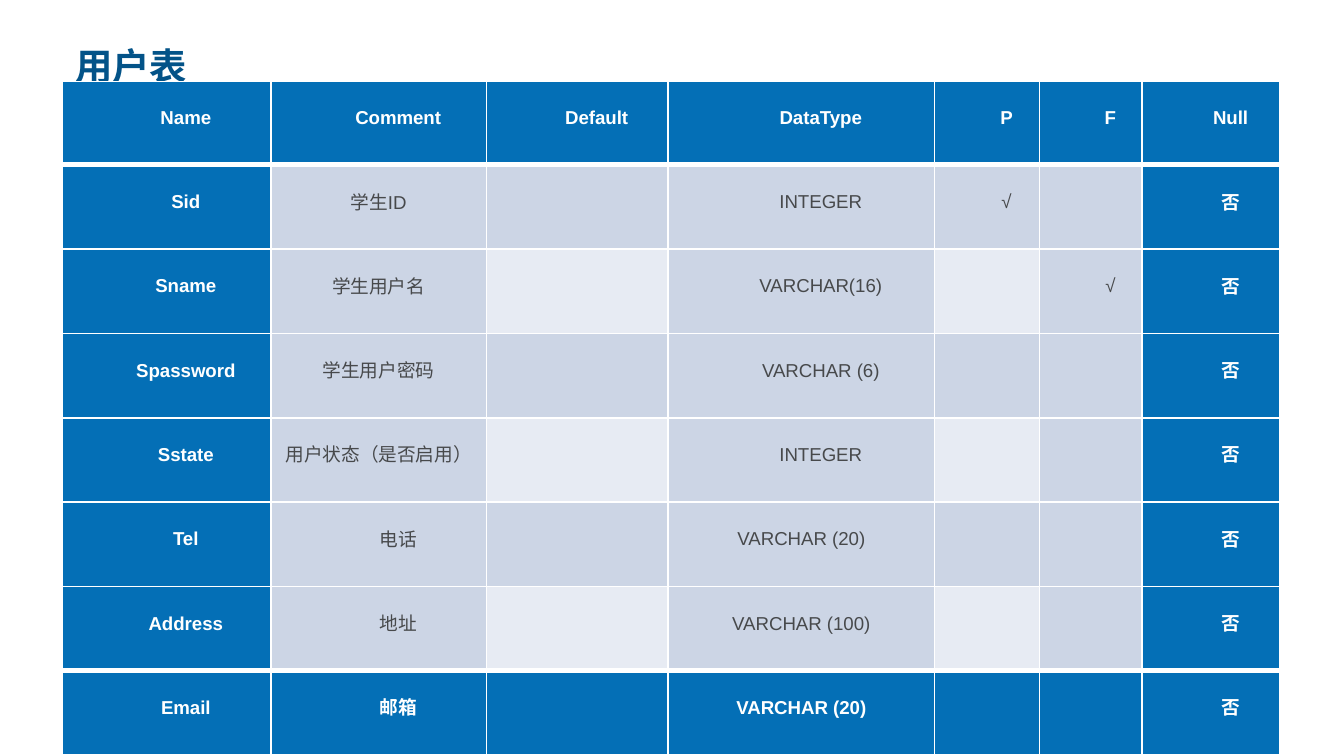
from dataclasses import dataclass

from lxml import etree
from pptx import Presentation
from pptx import util as u
from pptx.dml.color import RGBColor
from pptx.enum import text
from pptx.oxml.ns import qn

PX = 2286  # EMU per px, 400 px to the inch


@dataclass(frozen=True)
class Theme:
    title: str = "035388"
    head: str = "046FB6"
    band: str = "CCD5E5"
    light: str = "E7EBF3"
    ink: str = "47494B"
    white: str = "FFFFFF"
    title_font: str = "Montserrat"
    body_font: str = "Arial"
    title_pt: int = 20
    body_pt: int = 10
    thin_pt: int = 1
    thick_pt: int = 3


@dataclass(frozen=True)
class Field:
    name: str
    comment: str
    datatype: str
    primary: str = ""
    foreign: str = ""
    flush: str = "comment"  # the column without first-line indent

    def values(self) -> list[str]:
        return [self.name, self.comment, "", self.datatype,
                self.primary, self.foreign, "否"]


T = Theme()
HEADERS = ["Name", "Comment", "Default", "DataType", "P", "F", "Null"]
FLUSH_COLUMN = {"comment": 1, "datatype": 3}
FIELDS = [
    Field("Sid", "学生ID", "INTEGER", primary="√"),
    Field("Sname", "学生用户名", "VARCHAR(16)", foreign="√"),
    Field("Spassword", "学生用户密码", "VARCHAR (6)"),
    Field("Sstate", "用户状态（是否启用）", "INTEGER"),
    Field("Tel", "电话", "VARCHAR (20)", flush="datatype"),
    Field("Address", "地址", "VARCHAR (100)", flush="datatype"),
    Field("Email", "邮箱", "VARCHAR (20)", flush="datatype"),
]
SLIDE_WIDTH, SLIDE_HEIGHT = 4000, 2250
LEFT, TITLE_TOP, TABLE_TOP = 184, 54, 243
TITLE_HEIGHT = 228
COLUMNS = [622, 642, 540, 794, 312, 306, 410]
HEAD_HEIGHT, ROW_HEIGHT = 248, 251
INDENT, CELL_MARGIN = 116, 28
LAST = len(FIELDS)


def px(n: int) -> u.Emu:
    return u.Emu(n * PX)


def set_font(p, name: str, size: int, color: str, bold: bool) -> None:
    p.font.name = name
    p.font.size = u.Pt(size)
    p.font.bold = bold
    p.font.color.rgb = RGBColor.from_string(color)


def set_borders(cell, top: int, bottom: int) -> None:
    tc_pr = cell._tc.get_or_add_tcPr()
    widths = {"lnL": T.thin_pt, "lnR": T.thin_pt, "lnT": top, "lnB": bottom}
    for tag, width in widths.items():
        ln = etree.SubElement(tc_pr, qn(f"a:{tag}"), w=str(u.Pt(width)))
        fill = etree.SubElement(ln, qn("a:solidFill"))
        etree.SubElement(fill, qn("a:srgbClr"), val=T.white)


def cell_fill(row: int, col: int) -> str:
    if row in (0, LAST) or col in (0, len(COLUMNS) - 1):
        return T.head
    return T.light if row % 2 == 0 and col in (2, 4) else T.band


def draw_cell(cell, row: int, col: int, value: str, indent: bool) -> None:
    # Thick rules run below the header and above the last row
    set_borders(cell,
                T.thick_pt if row in (1, LAST) else T.thin_pt,
                T.thick_pt if row in (0, LAST - 1) else T.thin_pt)
    color = cell_fill(row, col)
    cell.fill.solid()
    cell.fill.fore_color.rgb = RGBColor.from_string(color)
    if not value:
        return
    cell.vertical_anchor = text.MSO_ANCHOR.MIDDLE
    cell.margin_left = cell.margin_right = px(CELL_MARGIN)
    cell.margin_top = cell.margin_bottom = 0
    p = cell.text_frame.paragraphs[0]
    p.text = value
    p.alignment = text.PP_ALIGN.CENTER
    p.line_spacing = 0.25
    if indent:
        p._p.get_or_add_pPr().set("indent", str(px(INDENT)))
    strong = color == T.head
    set_font(p, T.body_font, T.body_pt, T.white if strong else T.ink, strong)


def draw_title(s, title: str) -> None:
    tf = s.shapes.add_textbox(px(LEFT), px(TITLE_TOP), px(sum(COLUMNS)),
                              px(TITLE_HEIGHT)).text_frame
    tf.word_wrap = True
    tf.vertical_anchor = text.MSO_ANCHOR.BOTTOM
    p = tf.paragraphs[0]
    p.text = title
    p.line_spacing = 0.9
    set_font(p, T.title_font, T.title_pt, T.title, True)


def draw_table(s) -> None:
    heights = [HEAD_HEIGHT] + [ROW_HEIGHT] * LAST
    tbl = s.shapes.add_table(len(heights), len(COLUMNS), px(LEFT),
                             px(TABLE_TOP), px(sum(COLUMNS)),
                             px(sum(heights))).table
    tbl.first_row = tbl.horz_banding = False
    for column, width in zip(tbl.columns, COLUMNS):
        column.width = px(width)
    for row, height in zip(tbl.rows, heights):
        row.height = px(height)
    for col, header in enumerate(HEADERS):
        draw_cell(tbl.cell(0, col), 0, col, header, True)
    for row, field in enumerate(FIELDS, 1):
        for col, value in enumerate(field.values()):
            draw_cell(tbl.cell(row, col), row, col, value,
                      col != FLUSH_COLUMN[field.flush])


def main() -> None:
    prs = Presentation()
    prs.slide_width, prs.slide_height = px(SLIDE_WIDTH), px(SLIDE_HEIGHT)
    s = prs.slides.add_slide(prs.slide_layouts[6])
    # The table overlaps the foot of the title
    draw_title(s, "用户表")
    draw_table(s)
    prs.save("out.pptx")


if __name__ == "__main__":
    main()
